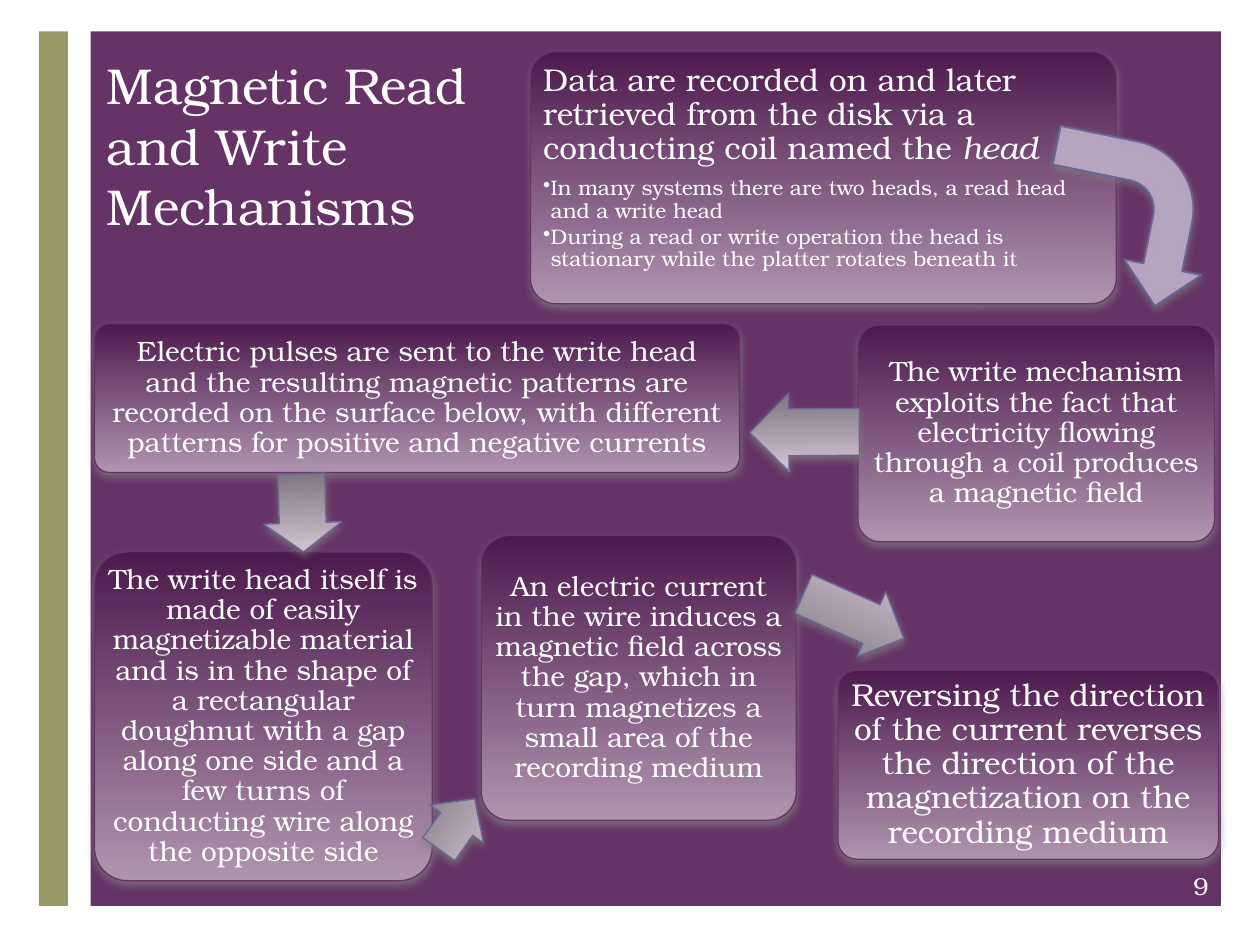
from dataclasses import dataclass

from lxml import etree
from pptx import Presentation
from pptx import util as u
from pptx.dml.color import RGBColor
from pptx.enum import shapes, text
from pptx.oxml import ns

SLIDE_W, SLIDE_H = 10, 7.5
FONT = "TeX Gyre Bonum"
CORNER = 0.1
INSET = 0.1

WHITE = RGBColor(0xFF, 0xFF, 0xFF)
PURPLE = RGBColor(0x66, 0x33, 0x66)
OLIVE = RGBColor(0x99, 0x99, 0x66)
SLATE = RGBColor(0x66, 0x66, 0x99)
LILAC = RGBColor(0xC3, 0xAF, 0xCC)
BOX_FADE = (RGBColor(0x4D, 0x1A, 0x4D), RGBColor(0xAF, 0x94, 0xAF))
ARROW_FADE = (RGBColor(0x7D, 0x73, 0x7D), RGBColor(0xD4, 0xC8, 0xD4))

MSO = shapes.MSO_SHAPE
ALIGN = text.PP_ALIGN
ANCHOR = text.MSO_ANCHOR


@dataclass(frozen=True)
class Area:
    """Left and width in percent of slide width, top and height of slide height."""
    x: float
    y: float
    w: float
    h: float

    def emu(self) -> list[int]:
        return [u.Inches(share * side / 100) for share, side in
                zip((self.x, self.y, self.w, self.h), (SLIDE_W, SLIDE_H) * 2)]


@dataclass(frozen=True)
class Step:
    area: Area
    words: str
    size: float = 16


@dataclass(frozen=True)
class Arrow:
    kind: MSO
    area: Area
    rotation: float
    head: float = 0.5


PANEL = Area(7.2, 3.33, 89.7, 92.53)
STRIP = Area(3.1, 3.33, 2.3, 92.53)
TITLE = Area(7.5, 3.33, 89.2, 22.27)
PAGE = Area(90.8, 91.07, 6.1, 5.33)
BENT_ARROW = Area(83.2, 14.4, 12.5, 17.73)
INTRO = Step(
    Area(42.1, 5.47, 46.5, 26.67),
    "Data are recorded on and later retrieved from the disk via a "
    "conducting coil named the ", 18)
INTRO_POINTS = (
    "In many systems there are two heads, a read head and a write head",
    "During a read or write operation the head is stationary while the "
    "platter rotates beneath it",
)
STEPS = (
    Step(Area(68.1, 34.4, 28.3, 22.93),
         "The write mechanism exploits the fact that electricity flowing "
         "through a coil produces a magnetic field"),
    Step(Area(7.5, 34.27, 51.2, 15.73),
         "Electric pulses are sent to the write head and the resulting "
         "magnetic patterns are recorded on the surface below, with different "
         "patterns for positive and negative currents"),
    Step(Area(7.5, 58.4, 26.8, 34.8),
         "The write head itself is made of easily magnetizable material and "
         "is in the shape of a rectangular doughnut with a gap along one side "
         "and a few turns of conducting wire along the opposite side"),
    Step(Area(38.2, 56.67, 25, 30.13),
         "An electric current in the wire induces a magnetic field across the "
         "gap, which in turn magnetizes a small area of the recording medium"),
    Step(Area(66.5, 70.93, 30.2, 20),
         "Reversing the direction of the current reverses the direction of "
         "the magnetization on the recording medium", 18),
)
ARROWS = (
    Arrow(MSO.LEFT_ARROW, Area(59.5, 41.6, 8.7, 8.27), 359.6),
    Arrow(MSO.DOWN_ARROW, Area(20.9, 50.13, 6.2, 8.27), 358.2, 0.37),
    Arrow(MSO.RIGHT_ARROW, Area(33.8, 83.73, 4.9, 6.93), 305.5),
    Arrow(MSO.LEFT_ARROW, Area(63.4, 61.47, 8.7, 7.47), 203.9),
)


def add_shape(s, kind: MSO, area: Area):
    sp = s.shapes.add_shape(kind, *area.emu())
    sp.shadow.inherit = False
    return sp


def add_bar(s, area: Area, color: RGBColor) -> None:
    sp = add_shape(s, MSO.RECTANGLE, area)
    sp.fill.solid()
    sp.fill.fore_color.rgb = color
    sp.line.fill.background()


def set_alpha(color_element, percent: int) -> None:
    etree.SubElement(color_element, ns.qn("a:alpha"), val=str(percent * 1000))


def set_shadow(sp) -> None:
    effects = sp._element.spPr.find(ns.qn("a:effectLst"))
    shadow = etree.SubElement(
        effects, ns.qn("a:outerShdw"), blurRad=str(u.Pt(5)),
        dist=str(u.Pt(2)), dir="5400000", rotWithShape="0")
    set_alpha(etree.SubElement(shadow, ns.qn("a:srgbClr"), val="808080"), 75)


def set_line(sp, color: RGBColor, width: float) -> None:
    sp.line.color.rgb = color
    sp.line.width = u.Pt(width)


def set_fade(sp, colors: tuple[RGBColor, RGBColor]) -> None:
    """Fill from the first colour at the top to the second at the bottom."""
    sp.fill.gradient()
    sp.fill.gradient_angle = 270
    for stop, color in zip(sp.fill.gradient_stops, colors):
        stop.color.rgb = color


def format_paragraph(p, size: float, align: ALIGN) -> None:
    p.alignment = align
    for r in p.runs:
        r.font.name = FONT
        r.font.size = u.Pt(size)
        r.font.color.rgb = WHITE


def set_spacing(p, after: float) -> None:
    p.line_spacing = 0.9
    p.space_after = u.Pt(after)


def set_bullet(p) -> None:
    pPr = p._p.get_or_add_pPr()
    indent = u.Inches(0.06)
    pPr.set("marL", str(indent))
    pPr.set("indent", str(-indent))
    etree.SubElement(pPr, ns.qn("a:buChar"), char="•")


def add_box(s, step: Step, align: ALIGN, anchor: ANCHOR):
    """Draw a step's rounded box and return its text frame."""
    sp = add_shape(s, MSO.ROUNDED_RECTANGLE, step.area)
    sp.adjustments[0] = CORNER
    set_fade(sp, BOX_FADE)
    set_line(sp, PURPLE, 0.75)
    set_shadow(sp)
    tf = sp.text_frame
    tf.word_wrap = True
    tf.vertical_anchor = anchor
    # A rounded rectangle already pulls its text in by 0.29 of the radius.
    margin = u.Emu(int(u.Inches(INSET) - 0.29 * CORNER * min(sp.width, sp.height)))
    tf.margin_left = tf.margin_right = tf.margin_top = tf.margin_bottom = margin
    tf.text = step.words
    p = tf.paragraphs[0]
    format_paragraph(p, step.size, align)
    set_spacing(p, 0.35 * step.size)
    return tf


def add_intro(s) -> None:
    tf = add_box(s, INTRO, ALIGN.LEFT, ANCHOR.TOP)
    p = tf.paragraphs[0]
    r = p.add_run()
    r.text = "head"
    r.font.italic = True
    format_paragraph(p, INTRO.size, ALIGN.LEFT)
    for point in INTRO_POINTS:
        p = tf.add_paragraph()
        p.text = point
        p.level = 1
        format_paragraph(p, 12, ALIGN.LEFT)
        set_spacing(p, 1.8)
        set_bullet(p)


def add_arrow(s, arrow: Arrow) -> None:
    sp = add_shape(s, arrow.kind, arrow.area)
    sp.rotation = arrow.rotation
    sp.adjustments[0] = 0.6
    sp.adjustments[1] = arrow.head
    set_fade(sp, ARROW_FADE)
    set_line(sp, SLATE, 0.75)
    set_shadow(sp)


def add_bent_arrow(s) -> None:
    sp = add_shape(s, MSO.BENT_ARROW, BENT_ARROW)
    sp.rotation = 101.5
    sp.fill.solid()
    sp.fill.fore_color.rgb = LILAC
    set_alpha(sp._element.spPr.find(".//" + ns.qn("a:srgbClr")), 86)
    set_line(sp, SLATE, 1)
    set_shadow(sp)


def add_label(s, area: Area, words: str, size: float, align: ALIGN, anchor: ANCHOR) -> None:
    tf = s.shapes.add_textbox(*area.emu()).text_frame
    tf.word_wrap = True
    tf.vertical_anchor = anchor
    tf.text = words
    format_paragraph(tf.paragraphs[0], size, align)


def main() -> None:
    prs = Presentation()
    prs.slide_width, prs.slide_height = u.Inches(SLIDE_W), u.Inches(SLIDE_H)
    s = prs.slides.add_slide(prs.slide_layouts[6])
    add_bar(s, PANEL, PURPLE)
    add_bar(s, STRIP, OLIVE)
    add_label(s, TITLE, "Magnetic Read\vand Write\vMechanisms", 28.8,
              ALIGN.LEFT, ANCHOR.BOTTOM)
    add_intro(s)
    for step in STEPS:
        add_box(s, step, ALIGN.CENTER, ANCHOR.MIDDLE)
    for arrow in ARROWS:
        add_arrow(s, arrow)
    add_bent_arrow(s)
    add_label(s, PAGE, "9", 14, ALIGN.RIGHT, ANCHOR.MIDDLE)
    prs.save("out.pptx")


if __name__ == "__main__":
    main()
